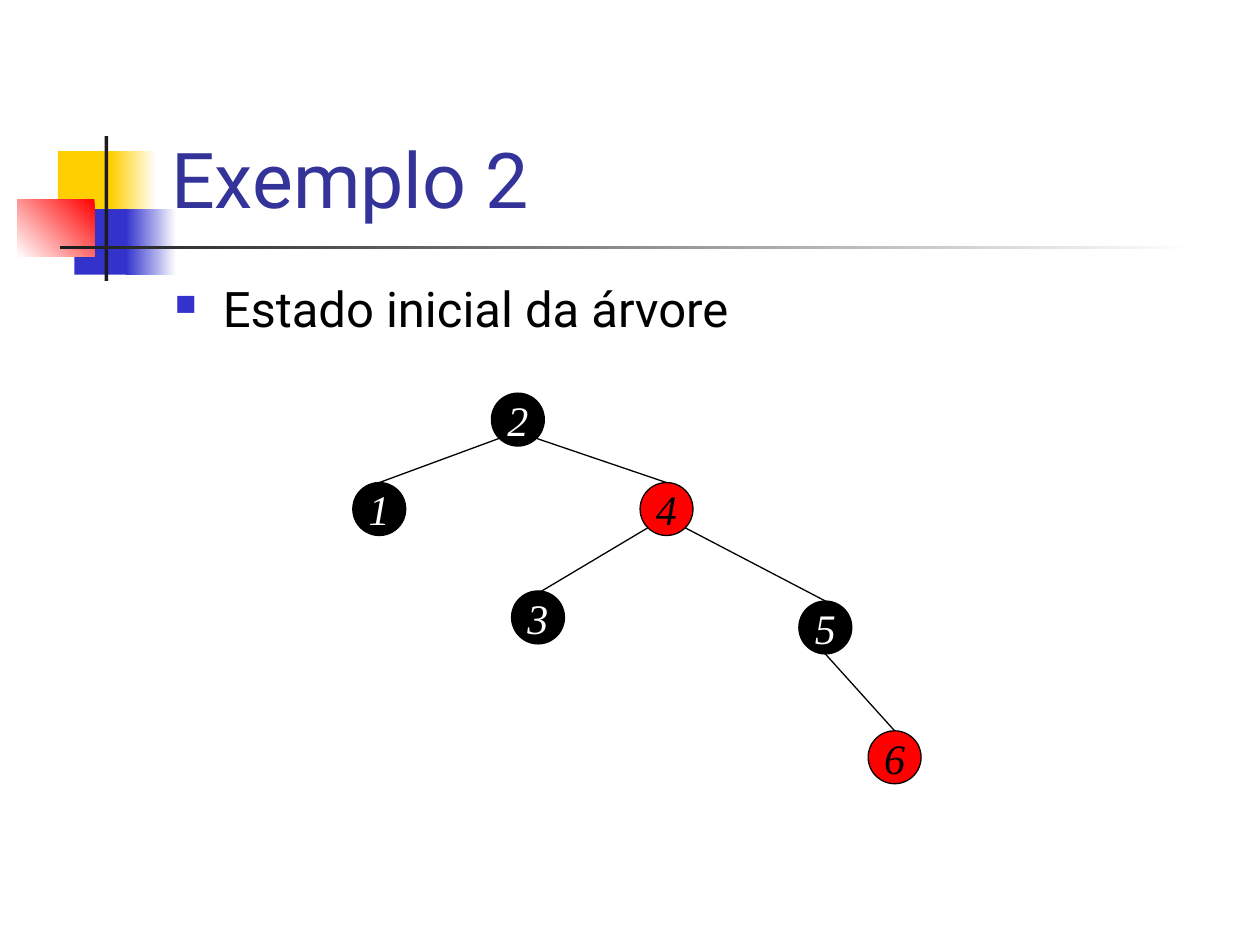
import pptx
import pptx.dml.color
import pptx.enum.shapes
import pptx.enum.text
import pptx.oxml
import pptx.oxml.ns
import pptx.util
from pptx.util import Inches

RGBColor = pptx.dml.color.RGBColor
SHAPE = pptx.enum.shapes.MSO_SHAPE
ANCHOR = pptx.enum.text.MSO_ANCHOR
ALIGN = pptx.enum.text.PP_ALIGN

WHITE = RGBColor(0xFF, 0xFF, 0xFF)
BLACK = RGBColor(0x00, 0x00, 0x00)
RED = RGBColor(0xFF, 0x00, 0x00)
GOLD = RGBColor(0xFF, 0xCF, 0x01)
BLUE = RGBColor(0x33, 0x33, 0xCC)
NAVY = RGBColor(0x33, 0x33, 0x99)
COAL = RGBColor(0x1C, 0x1C, 0x1C)

SIZE = 0.42
HALF = SIZE / 2
SKEW = 0.15

BLOCKS = [
    (0.46, 1.2, 0.48, 0.52, [GOLD], 0),
    (0.88, 1.2, 0.36, 0.52, [WHITE, GOLD], 180),
    (0.59, 1.66, 0.46, 0.52, [BLUE], 0),
    (1, 1.66, 0.4, 0.52, [WHITE, BLUE], 180),
    (0.14, 1.58, 0.61, 0.46, [RED, WHITE], 225),
    (0.83, 1.08, 0.03, 1.15, [COAL], 0),
    (0.48, 1.95, 9, 0.03, [WHITE, COAL], 180),
]

NODES = {
    "2": (3.9, 3.12, BLACK, WHITE),
    "1": (2.8, 3.83, BLACK, WHITE),
    "4": (5.08, 3.83, RED, BLACK),
    "3": (4.06, 4.69, BLACK, WHITE),
    "5": (6.34, 4.77, BLACK, WHITE),
    "6": (6.89, 5.8, RED, BLACK),
}

LEFT, RIGHT, BASE = (-SKEW, SKEW), (SKEW, SKEW), (0, HALF)
TOP, INNER = (0, -HALF), (-0.12, -0.12)
EDGES = [
    ("2", RIGHT, "4", TOP),
    ("2", LEFT, "1", TOP),
    ("4", RIGHT, "5", TOP),
    ("4", LEFT, "3", INNER),
    ("5", BASE, "6", TOP),
]


class Deck:
    """Hold the text style and the current slide, and draw each kind of element."""

    def __init__(self, slide, font, serif):
        self.shapes = slide.shapes
        self.font = font
        self.serif = serif

    def words(self, para, text, size, color, name):
        run = para.add_run()
        run.text = text
        run.font.size = pptx.util.Pt(size)
        run.font.name = name
        run.font.color.rgb = color
        return run

    def block(self, left, top, width, height, colors, angle):
        box = self.shapes.add_shape(
            SHAPE.RECTANGLE, Inches(left), Inches(top), Inches(width), Inches(height))
        box.shadow.inherit = False
        box.line.fill.background()
        if len(colors) == 1:
            box.fill.solid()
            box.fill.fore_color.rgb = colors[0]
            return
        box.fill.gradient()
        box.fill.gradient_angle = angle
        for stop, color in zip(box.fill.gradient_stops, colors):
            stop.color.rgb = color

    def label(self, left, top, width, height, text, size, color, anchor):
        box = self.shapes.add_textbox(
            Inches(left), Inches(top), Inches(width), Inches(height))
        frame = box.text_frame
        frame.word_wrap = True
        frame.vertical_anchor = anchor
        para = frame.paragraphs[0]
        self.words(para, text, size, color, self.font)
        return para

    def bullet(self, para, color):
        para.line_spacing = 0.9
        props = para._p.get_or_add_pPr()
        props.set("marL", str(Inches(0.38)))
        props.set("indent", str(Inches(-0.38)))
        space = pptx.oxml.ns.nsdecls("a")
        for part in (
            f'<a:buClr {space}><a:srgbClr val="{color}"/></a:buClr>',
            f'<a:buSzPct {space} val="60000"/>',
            f'<a:buChar {space} char="■"/>',
        ):
            props.append(pptx.oxml.parse_xml(part))

    def edge(self, start, end):
        line = self.shapes.add_connector(
            pptx.enum.shapes.MSO_CONNECTOR.STRAIGHT,
            *(Inches(value) for value in (*start, *end)))
        line.line.color.rgb = BLACK
        line.line.width = pptx.util.Pt(0.75)
        space = pptx.oxml.ns.nsdecls("a")
        line._element.spPr.append(pptx.oxml.parse_xml(f"<a:effectLst {space}/>"))

    def node(self, text, left, top, fill, ink):
        disc = self.shapes.add_shape(
            SHAPE.OVAL, Inches(left), Inches(top), Inches(SIZE), Inches(SIZE))
        disc.shadow.inherit = False
        disc.fill.solid()
        disc.fill.fore_color.rgb = fill
        disc.line.color.rgb = BLACK
        disc.line.width = pptx.util.Pt(0.75)
        frame = disc.text_frame
        frame.word_wrap = False
        frame.vertical_anchor = ANCHOR.MIDDLE
        para = frame.paragraphs[0]
        para.alignment = ALIGN.CENTER
        self.words(para, text, 24, ink, self.serif).font.italic = True


def site(key, shift):
    left, top = NODES[key][:2]
    return left + HALF + shift[0], top + HALF + shift[1]


def main():
    show = pptx.Presentation()
    show.slide_width = Inches(10)
    show.slide_height = Inches(7.5)
    slide = show.slides.add_slide(show.slide_layouts[6])
    deck = Deck(slide, "Roboto", "Times New Roman")
    for block in BLOCKS:
        deck.block(*block)
    deck.label(1.26, 0.23, 8.52, 1.6, "Exemplo 2", 44, NAVY, ANCHOR.BOTTOM)
    body = deck.label(
        1.29, 2.21, 8.5, 0.58, "Estado inicial da árvore", 28, BLACK, ANCHOR.TOP)
    deck.bullet(body, BLUE)
    for parent, out, child, into in EDGES:
        deck.edge(site(parent, out), site(child, into))
    for key, node in NODES.items():
        deck.node(key, *node)
    show.save("out.pptx")


if __name__ == "__main__":
    main()
